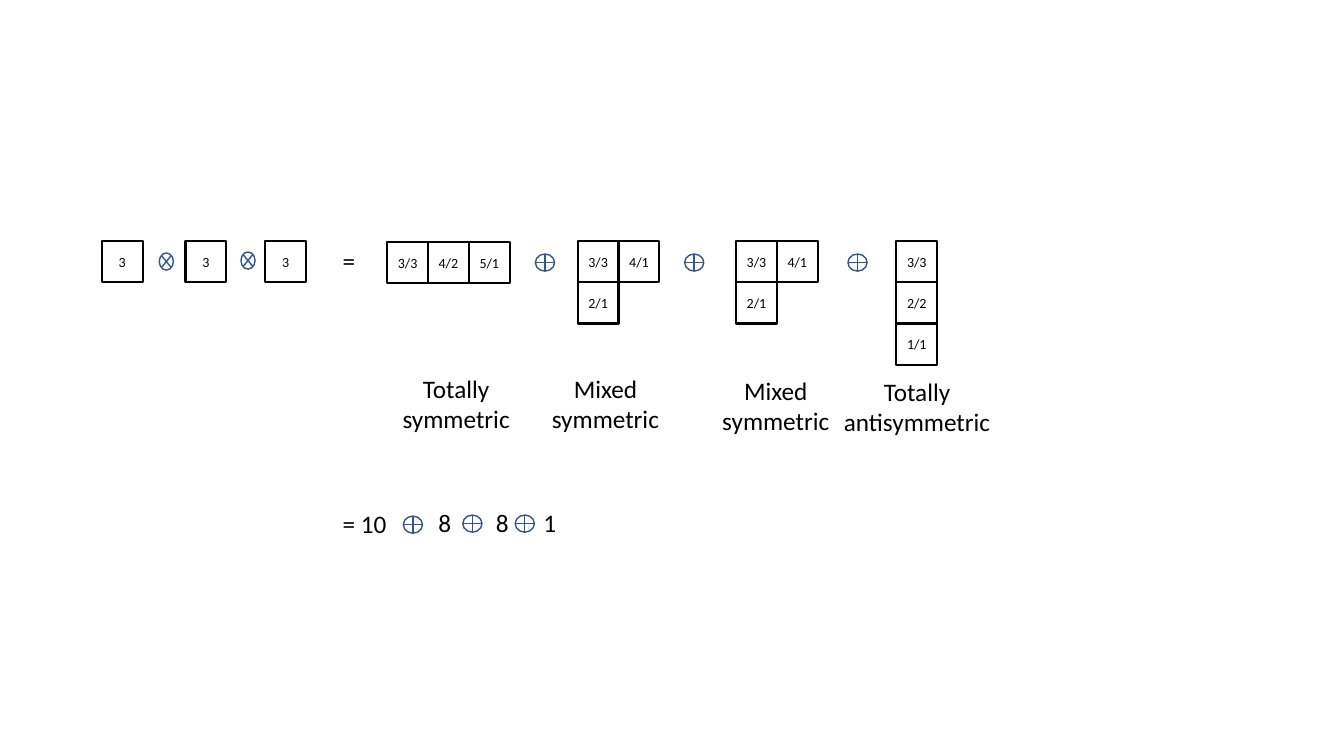
import pptx
import pptx.util
import pptx.dml.color
import pptx.enum.shapes
import pptx.enum.text
from dataclasses import dataclass

Inches, Pt = pptx.util.Inches, pptx.util.Pt
RGB = pptx.dml.color.RGBColor.from_string
SHAPE = pptx.enum.shapes.MSO_SHAPE
ALIGN = pptx.enum.text.PP_ALIGN
ANCHOR = pptx.enum.text.MSO_ANCHOR


@dataclass(frozen=True)
class Theme:
    font: str = "Calibri"
    ink: str = "000000"
    paper: str = "FFFFFF"
    operator: str = "325491"
    cell_size: int = 10
    text_size: int = 18
    cell_line: float = 1.5
    operator_line: float = 1


theme = Theme()

# Content: Young tableaux as (left, top, rows of cells)
CELL_W, CELL_H = 0.405, 0.41
TABLEAUX = [
    (1.01, 2.39, [["3"]]),
    (1.84, 2.39, [["3"]]),
    (2.63, 2.39, [["3"]]),
    (3.84, 2.4, [["3/3", "4/2", "5/1"]]),
    (5.73, 2.39, [["3/3", "4/1"], ["2/1"]]),
    (7.3, 2.39, [["3/3", "4/1"], ["2/1"]]),
    (8.89, 2.39, [["3/3"], ["2/2"], ["1/1"]]),
]

# Operators: preset, width, height, (left, top) places
OPERATORS = [
    (SHAPE.FLOWCHART_SUMMING_JUNCTION, 0.14, 0.17, [(1.58, 2.51), (2.39, 2.5)]),
    (SHAPE.FLOWCHART_OR, 0.19, 0.17,
     [(5.31, 2.52), (6.79, 2.52), (8.41, 2.52),
      (4, 5.12), (4.59, 5.11), (5.11, 5.11)]),
]

# Equation text and symmetry labels: text, left, top, width
EQUATION = [
    ("=", 3.3, 2.38, 0.33),
    ("= 10", 3.3, 4.99, 0.68),
    ("8", 4.25, 4.98, 0.34),
    ("8", 4.82, 4.98, 0.34),
    ("1", 5.29, 4.98, 0.34),
]
LABELS = [
    ("Totally\nsymmetric", 3.86, 3.65, 1.33),
    ("Mixed\nsymmetric", 5.34, 3.65, 1.33),
    ("Mixed\nsymmetric", 7.03, 3.67, 1.33),
    ("Totally\nantisymmetric", 8.25, 3.68, 1.69),
]

prs = pptx.Presentation()
prs.slide_width, prs.slide_height = Inches(13.33), Inches(7.5)
s = prs.slides.add_slide(prs.slide_layouts[6])


def write(tf, text, size, align):
    tf.text = text
    for p in tf.paragraphs:
        p.alignment = align
        for r in p.runs:
            r.font.name, r.font.size = theme.font, Pt(size)
            r.font.color.rgb = RGB(theme.ink)


def add_outlined(preset, x, y, w, h, color, weight):
    sp = s.shapes.add_shape(preset, Inches(x), Inches(y), Inches(w), Inches(h))
    sp.shadow.inherit = False
    sp.fill.solid()
    sp.fill.fore_color.rgb = RGB(theme.paper)
    sp.line.color.rgb = RGB(color)
    sp.line.width = Pt(weight)
    return sp


def add_text(text, x, y, w, h, align):
    tf = s.shapes.add_textbox(Inches(x), Inches(y), Inches(w), Inches(h)).text_frame
    tf.word_wrap = True
    write(tf, text, theme.text_size, align)


# Tableaux
for left, top, rows in TABLEAUX:
    for i, row in enumerate(rows):
        for j, value in enumerate(row):
            sp = add_outlined(SHAPE.RECTANGLE, left + j * CELL_W, top + i * CELL_H,
                              CELL_W, CELL_H, theme.ink, theme.cell_line)
            tf = sp.text_frame
            tf.margin_left = tf.margin_right = 0
            tf.vertical_anchor = ANCHOR.MIDDLE
            write(tf, value, theme.cell_size, ALIGN.CENTER)

# Tensor products and direct sums
for preset, w, h, places in OPERATORS:
    for x, y in places:
        add_outlined(preset, x, y, w, h, theme.operator, theme.operator_line)

# Equation and labels
for text, x, y, w in EQUATION:
    add_text(text, x, y, w, 0.4, ALIGN.LEFT)
for text, x, y, w in LABELS:
    add_text(text, x, y, w, 0.71, ALIGN.CENTER)

prs.save("out.pptx")
